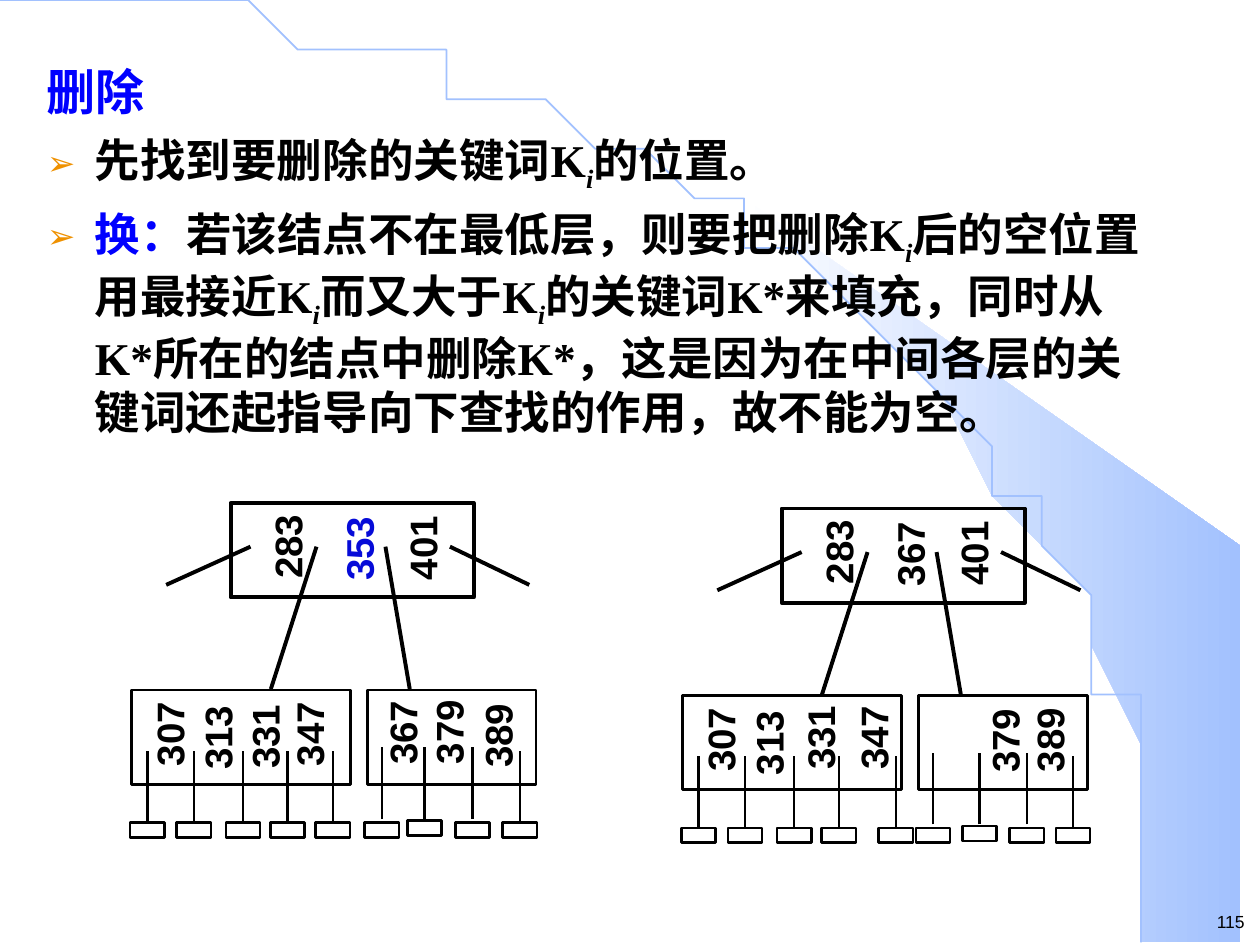
import math

from lxml import etree
from pptx import Presentation
from pptx import util as u
from pptx.dml.color import RGBColor
from pptx.enum import shapes, text
from pptx.oxml.ns import qn

BLACK = RGBColor(0x00, 0x00, 0x00)
WHITE = RGBColor(0xFF, 0xFF, 0xFF)
BLUE = RGBColor(0x00, 0x00, 0xFF)
KEY_BLUE = RGBColor(0x06, 0x0B, 0xD8)
SKY = RGBColor(0xA2, 0xC1, 0xFE)
BULLET = "EF9100"

presentation = Presentation()
presentation.slide_width = u.Cm(25.4)
presentation.slide_height = u.Cm(19.05)
slide = presentation.slides.add_slide(presentation.slide_layouts[1])
title, body = slide.placeholders
title.element.getparent().remove(title.element)


def add_outline(points, closed):
    builder = slide.shapes.build_freeform(*points[0], scale=u.Cm(1))
    builder.add_line_segments(points[1:], close=closed)
    shape = builder.convert_to_shape()
    shape.shadow.inherit = False
    return shape


def place_upright(shape, x, y, length, thickness):
    """Centre a shape on x, y (cm) and turn it to read from bottom to top."""
    shape.left, shape.top = u.Cm(x - length / 2), u.Cm(y - thickness / 2)
    shape.width, shape.height = u.Cm(length), u.Cm(thickness)
    shape.rotation = 270


# Background beam and arc
beam = add_outline([
    (23.37, 19), (25.37, 19.02), (25.37, 10.74), (14.96, 4.39), (15.85, 5.05),
    (16.59, 5.64), (17.4, 6.35), (18.19, 7.11), (19.35, 8.38), (20.4, 9.75),
    (21.13, 10.95), (21.79, 12.17), (22.3, 13.41), (22.68, 14.53),
    (22.94, 15.47), (23.19, 16.66), (23.29, 17.68)], closed=True)
beam.fill.gradient()
beam.fill.gradient_angle = 0
for stop, position, color in zip(beam.fill.gradient_stops, (0, 1), (WHITE, SKY)):
    stop.position = position
    stop.color.rgb = color
beam.line.fill.background()

ARC_WIDTH, ARC_HEIGHT, ARC_STEPS = 23.37, 19.02, 90
angles = [math.pi / 2 * step / ARC_STEPS for step in range(ARC_STEPS + 1)]
arc = add_outline([(ARC_WIDTH * math.sin(angle), ARC_HEIGHT * (1 - math.cos(angle)))
                   for angle in angles], closed=False)
arc.fill.background()
arc.line.color.rgb = SKY
arc.line.width = u.Pt(1)

# Page number
number = slide.shapes.add_textbox(u.Cm(23.9), u.Cm(18.24), u.Cm(1.24), u.Cm(0.69))
number.text_frame.word_wrap = True
number.text_frame.margin_left = number.text_frame.margin_right = u.Cm(0.05)
paragraph = number.text_frame.paragraphs[0]
paragraph.alignment = text.PP_ALIGN.RIGHT
run = paragraph.add_run()
run.text = "115"
run.font.size = u.Pt(10)
run.font.name = "Arial"
run.font.color.rgb = BLACK

# Body text: (size, space before, bullet, runs); "i" is the subscript index
PARAGRAPHS = [
    (28, 0, None, [("删除", BLUE)]),
    (26, 6.5, "➢", [("先找到要删除的关键词K", BLACK), ("i", BLACK), ("的位置。", BLACK)]),
    (26, 6.5, "➢", [
        ("换：", BLUE), ("若该结点不在最低层，则要把删除K", BLACK), ("i", BLACK),
        ("后的空位置用最接近K", BLACK), ("i", BLACK), ("而又大于K", BLACK), ("i", BLACK),
        ("的关键词K*来填充，同时从K*所在的结点中删除K*，"
         "这是因为在中间各层的关键词还起指导向下查找的作用，故不能为空。", BLACK)]),
]
slide.shapes.element.append(body.element)  # in front of the background
body.left, body.top = u.Cm(0.69), u.Cm(1.12)
body.width, body.height = u.Cm(22.81), u.Cm(8.2)
frame = body.text_frame
frame.word_wrap = True
frame.auto_size = text.MSO_AUTO_SIZE.NONE
frame.vertical_anchor = text.MSO_ANCHOR.TOP
for index, (size, space, bullet, runs) in enumerate(PARAGRAPHS):
    paragraph = frame.add_paragraph() if index else frame.paragraphs[0]
    properties = paragraph._p.get_or_add_pPr()
    properties.set("marL", str(u.Cm(0.97)))
    properties.set("indent", str(-u.Cm(0.97)))
    if bullet:
        color = etree.SubElement(properties, qn("a:buClr"))
        etree.SubElement(color, qn("a:srgbClr"), val=BULLET)
        etree.SubElement(properties, qn("a:buSzPct"), val="75000")
        etree.SubElement(properties, qn("a:buChar"), char=bullet)
    else:
        etree.SubElement(properties, qn("a:buNone"))
    paragraph.line_spacing = 1.0
    paragraph.space_before = u.Pt(space)
    for words, color in runs:
        run = paragraph.add_run()
        run.text = words
        run.font.size = u.Pt(size)
        run.font.name = "Times New Roman"
        run.font.bold = True
        run.font.color.rgb = color
        if words == "i":
            run.font.italic = True
            run.font._element.set("baseline", "-25000")

# B-tree parts shared by both trees, in cm: centre x, centre y, length, thickness, line
NODES = [(4.86, 14.86, 1.9, 4.42, 1.5), (9.11, 14.86, 1.9, 3.4, 1.5),
         (7.1, 11.09, 1.9, 4.9, 2.25)]
BRANCHES = [(5.05, 11.02, 3.35, 11.79, 2.25), (6.38, 11.02, 5.46, 13.89, 2.25),
            (7.77, 11.02, 8.26, 13.89, 2.25), (9.07, 11.02, 10.67, 11.79, 2.25)]
ROOT_PLACES = [(5.7, 11.02), (7.14, 11.06), (8.42, 11.05)]

# Each tree: offset, root keys, middle key colour, leaf keys, pointer x, lifted pointers
TREES = [
    (0, 0, ("283", "353", "401"), KEY_BLUE,
     [("307", 3.44, 14.8), ("313", 4.41, 14.87), ("331", 5.36, 14.85), ("347", 6.26, 14.8),
      ("367", 8.14, 14.77), ("379", 9.07, 14.76), ("389", 10.06, 14.83)],
     (2.97, 3.91, 4.9, 5.8, 6.71, 7.7, 8.56, 9.53, 10.48)),
    (11.11, 0.11, ("283", "367", "401"), BLACK,
     [("307", 3.44, 14.8), ("313", 4.41, 14.87), ("331", 5.45, 14.76), ("347", 6.52, 14.76),
      ("379", 9.17, 14.82), ("389", 10.07, 14.81)],
     (2.97, 3.91, 4.9, 5.8, 6.95, 7.7, 8.64, 9.59, 10.52)),
]
LIFTED = (5, 6, 7)

for dx, dy, root_keys, middle_color, leaf_keys, pointers in TREES:
    tree = slide.shapes.add_group_shape().shapes
    boxes, lines = list(NODES), list(BRANCHES)
    for index, x in enumerate(pointers):
        lift = 0.08 if index in LIFTED else 0
        boxes.append((x, 16.69 if index == 6 else 16.73, 0.3, 0.69, 1.5))
        lines.append((x, 16.59 - lift, x, 15.14 - lift, 1.5))

    for x, y, length, thickness, weight in boxes:
        box = tree.add_shape(shapes.MSO_SHAPE.RECTANGLE, 0, 0, u.Cm(1), u.Cm(1))
        place_upright(box, x + dx, y + dy, length, thickness)
        box.shadow.inherit = False
        box.fill.background()
        box.line.color.rgb = BLACK
        box.line.width = u.Pt(weight)

    for x1, y1, x2, y2, weight in lines:
        line = tree.add_connector(shapes.MSO_CONNECTOR.STRAIGHT, u.Cm(x1 + dx), u.Cm(y1 + dy),
                                  u.Cm(x2 + dx), u.Cm(y2 + dy))
        line.line.color.rgb = BLACK
        line.line.width = u.Pt(weight)
        etree.SubElement(line.element.spPr, qn("a:effectLst"))

    root_colors = (BLACK, middle_color, BLACK)
    labels = [(key, x, y, 0.76, 0, 1.0, color)
              for key, (x, y), color in zip(root_keys, ROOT_PLACES, root_colors)]
    labels += [(key, x, y, 0.58, 0.15, 0.56, BLACK) for key, x, y in leaf_keys]
    for key, x, y, thickness, margin, spacing, color in labels:
        label = tree.add_textbox(0, 0, u.Cm(1), u.Cm(1))
        place_upright(label, x + dx, y + dy, 1.7, thickness)
        frame = label.text_frame
        frame.word_wrap = True
        frame.margin_left = frame.margin_right = frame.margin_bottom = 0
        frame.margin_top = u.Cm(margin)
        paragraph = frame.paragraphs[0]
        paragraph.alignment = text.PP_ALIGN.CENTER
        paragraph.line_spacing = spacing
        run = paragraph.add_run()
        run.text = key
        run.font.size = u.Pt(22)
        run.font.name = "Arial"
        run.font.bold = True
        run.font.color.rgb = color

presentation.save("out.pptx")
